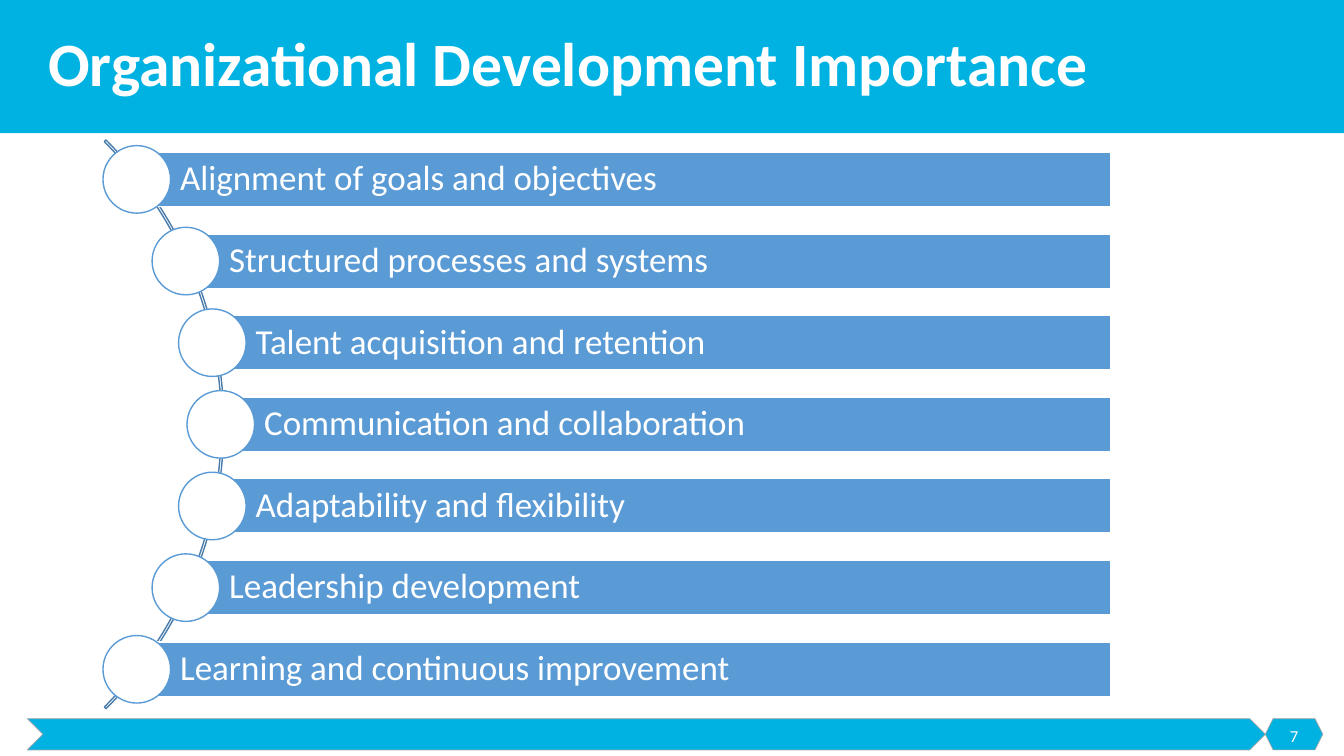
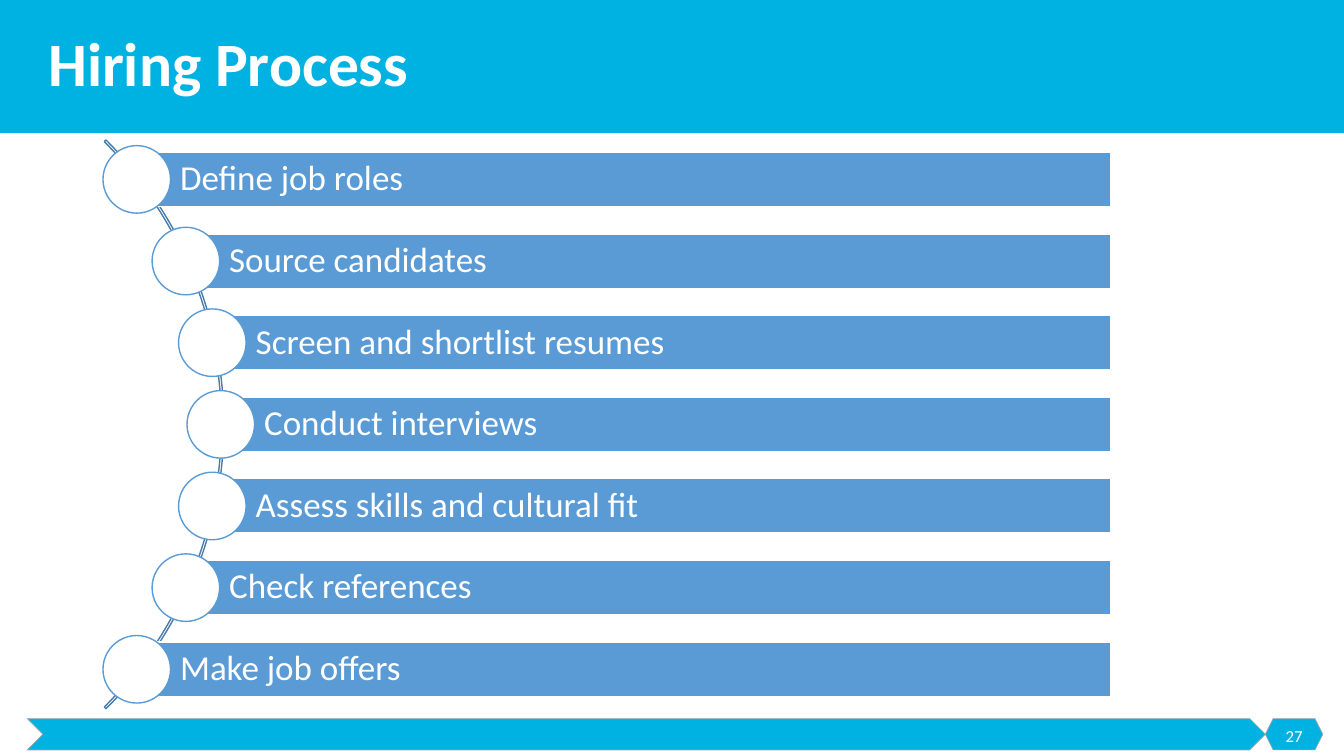
from math import sqrt

from pptx import Presentation
from pptx.dml.color import RGBColor
from pptx.enum.shapes import MSO_SHAPE
from pptx.enum.text import MSO_ANCHOR, PP_ALIGN
from pptx.util import Inches, Pt

RECTANGLE = MSO_SHAPE.RECTANGLE
CHEVRON = MSO_SHAPE.CHEVRON
HEXAGON = MSO_SHAPE.HEXAGON
OVAL = MSO_SHAPE.OVAL
BLOCK_ARC = MSO_SHAPE.BLOCK_ARC
MIDDLE = MSO_ANCHOR.MIDDLE
LEFT, CENTER = PP_ALIGN.LEFT, PP_ALIGN.CENTER

FONT = "Calibri"
COLORS = {
    "band": "00B2E2",
    "band_line": "A5A5A5",
    "bar": "5B9BD5",
    "arc_line": "497CAB",
    "white": "FFFFFF",
}

# Slide and list geometry, in inches
SLIDE_WIDTH, SLIDE_HEIGHT = 13.33, 7.5
TITLE_HEIGHT = 1.32
ARC_SIZE = 7.98
ARC_CENTER_X, ARC_CENTER_Y = -1.77, 4.21
DOT_ORBIT = 3.96  # distance of the dot centres from the arc centre
DOT_SIZE = 0.67
BAR_HEIGHT, BAR_RIGHT, BAR_PITCH = 0.54, 11.02, 0.81

SLIDES = [
    ("Organizational Development Importance", "7", [
        "Alignment of goals and objectives",
        "Structured processes and systems",
        "Talent acquisition and retention",
        "Communication and collaboration",
        "Adaptability and flexibility",
        "Leadership development",
        "Learning and continuous improvement",
    ]),
    ("Hiring Process", "27", [
        "Define job roles",
        "Source candidates",
        "Screen and shortlist resumes",
        "Conduct interviews",
        "Assess skills and cultural fit",
        "Check references",
        "Make job offers",
    ]),
]


def color(name):
    return RGBColor.from_string(COLORS[name])


def write_text(shape, text, *, size, bold=False, align=LEFT, line_spacing=1.0,
               insets=(0.1, 0.05, 0.1, 0.05)):
    """Put one white, vertically centred paragraph into a shape."""
    frame = shape.text_frame
    frame.word_wrap = True
    frame.vertical_anchor = MIDDLE
    (frame.margin_left, frame.margin_top,
     frame.margin_right, frame.margin_bottom) = map(Inches, insets)
    paragraph = frame.paragraphs[0]
    paragraph.text = text
    paragraph.alignment = align
    paragraph.line_spacing = line_spacing
    paragraph.font.name = FONT
    paragraph.font.size = Pt(size)
    paragraph.font.bold = bold
    paragraph.font.color.rgb = color("white")


def add_shape(slide, kind, box, *, fill=None, line=None, line_width=1):
    shape = slide.shapes.add_shape(kind, *map(Inches, box))
    shape.shadow.inherit = False
    if fill:
        shape.fill.solid()
        shape.fill.fore_color.rgb = color(fill)
    else:
        shape.fill.background()
    if line:
        shape.line.color.rgb = color(line)
        shape.line.width = Pt(line_width)
    else:
        shape.line.fill.background()
    return shape


def add_text(slide, text, box, **text_format):
    write_text(slide.shapes.add_textbox(*map(Inches, box)), text, **text_format)


def add_frame(slide, title, number):
    """Title band and footer, shared by all slides."""
    add_shape(slide, RECTANGLE, (0, 0, SLIDE_WIDTH, TITLE_HEIGHT), fill="band")
    for kind, left, width in ((CHEVRON, 0.27, 12.28), (HEXAGON, 12.55, 0.57)):
        add_shape(slide, kind, (left, 7.13, width, 0.31),
                  fill="band", line="band_line", line_width=0.5)
    add_text(slide, title, (0.38, 0, 12.74, TITLE_HEIGHT),
             size=44, bold=True, line_spacing=0.9)
    add_text(slide, number, (12.55, 7.1, 0.57, 0.4), size=12, align=CENTER)


def add_arc(slide):
    box = (ARC_CENTER_X - ARC_SIZE / 2, ARC_CENTER_Y - ARC_SIZE / 2, ARC_SIZE, ARC_SIZE)
    arc = add_shape(slide, BLOCK_ARC, box, line="arc_line")
    # From 315 to 45 degrees, then the relative thickness
    for index, value in enumerate((189, 27, 0.003)):
        arc.adjustments[index] = value


def add_curved_list(slide, items):
    """Bars whose left ends and dots follow the arc."""
    add_arc(slide)
    for index, item in enumerate(items):
        offset = (index - (len(items) - 1) / 2) * BAR_PITCH
        x = ARC_CENTER_X + sqrt(DOT_ORBIT ** 2 - offset ** 2)
        y = ARC_CENTER_Y + offset
        bar = add_shape(slide, RECTANGLE,
                        (x, y - BAR_HEIGHT / 2, BAR_RIGHT - x, BAR_HEIGHT),
                        fill="bar", line="white")
        write_text(bar, item, size=25, line_spacing=0.9,
                   insets=(0.43, 0.07, 0.07, 0.07))
        add_shape(slide, OVAL,
                  (x - DOT_SIZE / 2, y - DOT_SIZE / 2, DOT_SIZE, DOT_SIZE),
                  fill="white", line="bar")


def main():
    presentation = Presentation()
    presentation.slide_width = Inches(SLIDE_WIDTH)
    presentation.slide_height = Inches(SLIDE_HEIGHT)
    blank_layout = presentation.slide_layouts[6]
    for title, number, items in SLIDES:
        slide = presentation.slides.add_slide(blank_layout)
        add_frame(slide, title, number)
        add_curved_list(slide, items)
    presentation.save("out.pptx")


if __name__ == "__main__":
    main()
